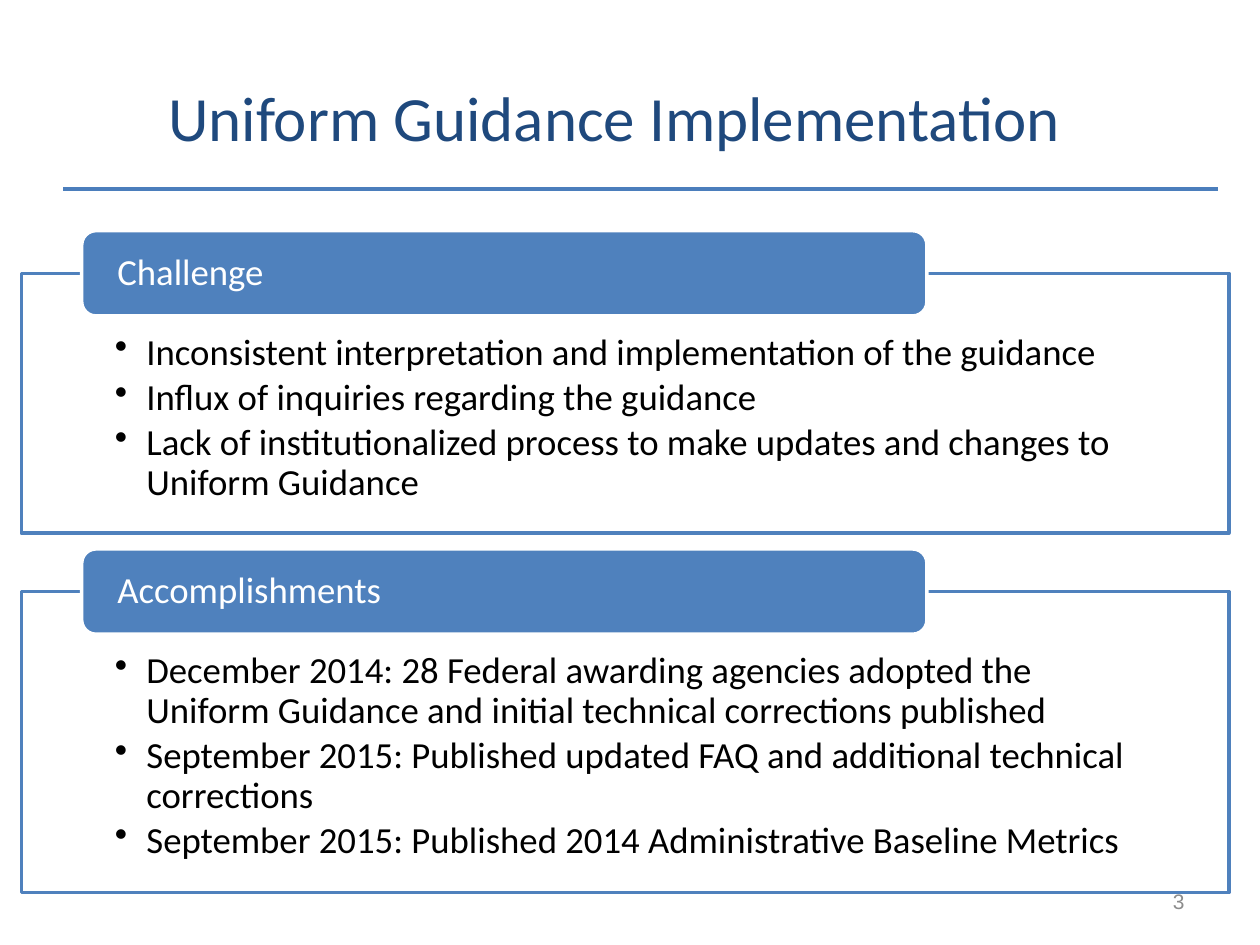
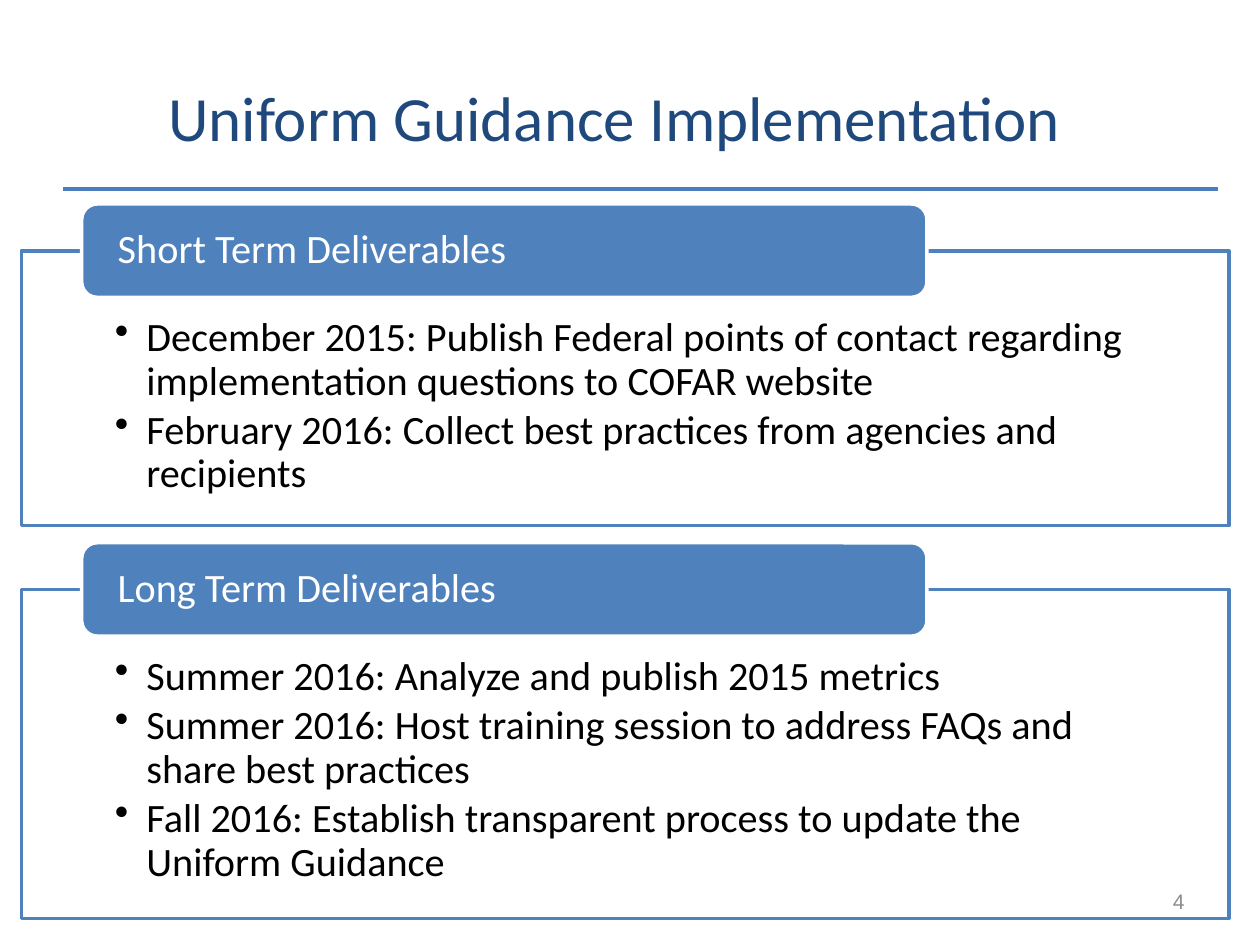
"""Build the two Uniform Guidance Implementation slides."""
from dataclasses import dataclass
from typing import Any

from lxml import etree
from pptx import Presentation
from pptx.dml.color import RGBColor
from pptx.enum import shapes, text
from pptx.oxml.ns import qn
from pptx.util import Pt


@dataclass(frozen=True)
class Theme:
    """Colours, fonts and type sizes of the presentation."""

    accent: RGBColor = RGBColor(0x4F, 0x81, 0xBD)
    rule: RGBColor = RGBColor(0x4B, 0x7E, 0xBC)
    title: RGBColor = RGBColor(0x1F, 0x49, 0x7D)
    body: RGBColor = RGBColor(0, 0, 0)
    paper: RGBColor = RGBColor(0xFF, 0xFF, 0xFF)
    number: RGBColor = RGBColor(0x8C, 0x8C, 0x8C)
    font: str = "Calibri"
    number_font: str = "Arial"
    title_size: float = 36
    number_size: float = 12
    line_width: float = 2


@dataclass(frozen=True)
class Panel:
    """A framed bullet list with a heading tab."""

    heading: str
    height: float
    bullets: tuple[str, ...]


@dataclass(frozen=True)
class Page:
    """The content of one slide and the type size that scales it."""

    number: int
    top: float
    size: float
    panels: tuple[Panel, ...]


THEME = Theme()
TITLE = "Uniform Guidance Implementation"
TAB_RATIO = 2.32
GAP_RATIO = 0.43

PAGES = (
    Page(3, 131.8, 21, (
        Panel("Challenge", 148.5, (
            "Inconsistent interpretation and implementation of the guidance",
            "Influx of inquiries regarding the guidance",
            "Lack of institutionalized process to make updates and changes to Uniform Guidance",
        )),
        Panel("Accomplishments", 172, (
            "December 2014: 28 Federal awarding agencies adopted the Uniform Guidance "
            "and initial technical corrections published",
            "September 2015: Published updated FAQ and additional technical corrections",
            "September 2015: Published 2014 Administrative Baseline Metrics",
        )),
    )),
    Page(4, 116.6, 23, (
        Panel("Short Term Deliverables", 157, (
            "December 2015: Publish Federal points of contact regarding "
            "implementation questions to COFAR website",
            "February 2016: Collect best practices from agencies and recipients",
        )),
        Panel("Long Term Deliverables", 188, (
            "Summer 2016: Analyze and publish 2015 metrics",
            "Summer 2016: Host training session to address FAQs and share best practices",
            "Fall 2016: Establish transparent process to update the Uniform Guidance",
        )),
    )),
)


def set_font(paragraph: Any, size: float, color: RGBColor, name: str = THEME.font) -> None:
    """Set the typeface, size and colour of a paragraph."""
    paragraph.font.name = name
    paragraph.font.size = Pt(size)
    paragraph.font.color.rgb = color


def set_insets(frame: Any, left: float, top: float, right: float, bottom: float) -> None:
    """Set the text margins of a wrapped text frame."""
    frame.word_wrap = True
    frame.margin_left, frame.margin_top = Pt(left), Pt(top)
    frame.margin_right, frame.margin_bottom = Pt(right), Pt(bottom)


def add_bullet(paragraph: Any) -> None:
    """Give a paragraph a hanging bullet."""
    properties = paragraph._p.get_or_add_pPr()
    properties.set("marL", str(Pt(18)))
    properties.set("indent", str(Pt(-18)))
    etree.SubElement(properties, qn("a:buChar"), char="•")


def add_box(slide: Any, kind: Any, left: float, top: float, width: float, height: float,
            fill: RGBColor, line: RGBColor) -> Any:
    """Add a filled, outlined shape without a shadow."""
    shape = slide.shapes.add_shape(kind, Pt(left), Pt(top), Pt(width), Pt(height))
    shape.shadow.inherit = False
    shape.fill.solid()
    shape.fill.fore_color.rgb = fill
    shape.line.color.rgb = line
    shape.line.width = Pt(THEME.line_width)
    return shape


def draw_panel(slide: Any, panel: Panel, top: float, size: float) -> float:
    """Draw a panel whose tab starts at top and return its bottom edge."""
    tab_height = size * TAB_RATIO
    frame_top = top + tab_height / 2
    box = add_box(slide, shapes.MSO_SHAPE.RECTANGLE, 12.2, frame_top, 690, panel.height,
                  THEME.paper, THEME.accent)
    frame = box.text_frame
    set_insets(frame, 53.5, size * 1.64, 53.5, size * 0.56)
    frame.vertical_anchor = text.MSO_ANCHOR.TOP
    for index, bullet in enumerate(panel.bullets):
        paragraph = frame.add_paragraph() if index else frame.paragraphs[0]
        paragraph.text = bullet
        paragraph.level = 1
        paragraph.alignment = text.PP_ALIGN.LEFT
        paragraph.line_spacing = 0.9
        paragraph.space_after = Pt(size * 0.15)
        set_font(paragraph, size, THEME.body)
        add_bullet(paragraph)

    tab = add_box(slide, shapes.MSO_SHAPE.ROUNDED_RECTANGLE, 46.7, top, 483, tab_height,
                  THEME.accent, THEME.paper)
    set_insets(tab.text_frame, 18, 0, 18, 0)
    tab.text_frame.vertical_anchor = text.MSO_ANCHOR.MIDDLE
    paragraph = tab.text_frame.paragraphs[0]
    paragraph.text = panel.heading
    paragraph.alignment = text.PP_ALIGN.LEFT
    paragraph.line_spacing = 0.9
    set_font(paragraph, size, THEME.paper)
    return frame_top + panel.height


def draw_title(slide: Any) -> None:
    """Place the title and the rule below it."""
    rule = slide.shapes.add_connector(shapes.MSO_CONNECTOR.STRAIGHT,
                                      Pt(36), Pt(108), Pt(696), Pt(108))
    rule.line.color.rgb = THEME.rule
    rule.line.width = Pt(THEME.line_width)
    etree.SubElement(rule._element.spPr, qn("a:effectLst"))

    title = slide.shapes.title
    title.left, title.top, title.width, title.height = Pt(18), Pt(21.6), Pt(666), Pt(90)
    title.text_frame.vertical_anchor = text.MSO_ANCHOR.MIDDLE
    paragraph = title.text_frame.paragraphs[0]
    paragraph.text = TITLE
    paragraph.alignment = text.PP_ALIGN.CENTER
    set_font(paragraph, THEME.title_size, THEME.title)


def draw_number(slide: Any, number: int) -> None:
    """Place the slide number at the lower right."""
    box = slide.shapes.add_textbox(Pt(516), Pt(500.5), Pt(168), Pt(28.75))
    box.text_frame.word_wrap = True
    box.text_frame.vertical_anchor = text.MSO_ANCHOR.MIDDLE
    paragraph = box.text_frame.paragraphs[0]
    paragraph.text = str(number)
    paragraph.alignment = text.PP_ALIGN.RIGHT
    set_font(paragraph, THEME.number_size, THEME.number, THEME.number_font)


def draw_page(presentation: Any, page: Page) -> None:
    """Add one slide with its stacked panels."""
    slide = presentation.slides.add_slide(presentation.slide_layouts.get_by_name("Title Only"))
    draw_title(slide)
    top = page.top
    for panel in page.panels:
        top = draw_panel(slide, panel, top, page.size) + page.size * GAP_RATIO
    draw_number(slide, page.number)


def main() -> None:
    """Build and save the presentation."""
    presentation = Presentation()
    presentation.slide_width, presentation.slide_height = Pt(720), Pt(540)
    for page in PAGES:
        draw_page(presentation, page)
    presentation.save("out.pptx")


main()
